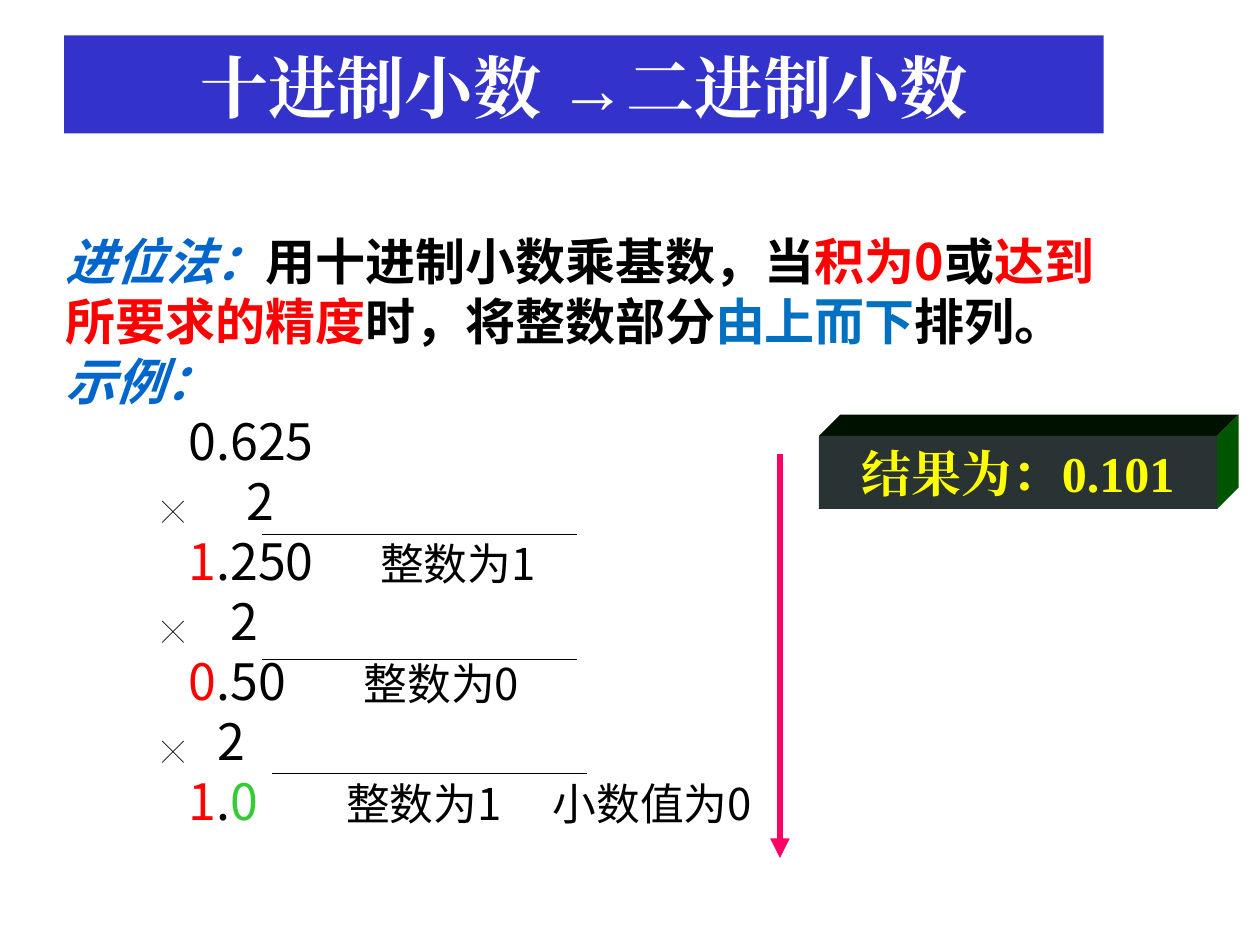
from lxml import etree
from pptx import Presentation
from pptx.dml.color import RGBColor
from pptx.enum.shapes import MSO_CONNECTOR as Conn, MSO_SHAPE as Shape
from pptx.enum.text import MSO_ANCHOR as Anchor, MSO_AUTO_SIZE as Fit, PP_ALIGN as Align
from pptx.oxml.ns import qn
from pptx.util import Inches, Pt

COLORS = {
    "black": "000000", "white": "FFFFFF", "red": "FF0000", "green": "33CC33",
    "label": "0066CC", "blue": "0070C0", "bar": "3333CC", "pink": "FF0066",
    "yellow": "FFFF00", "front": "2A3333", "top": "001100", "side": "005500",
}
SANS, SERIF = "Noto Sans CJK SC", "Times New Roman"
BIG, NOTE, SIGN = 28.6, 25, 12.5

INTRO = [
    [("进位法：", "label"), ("用十进制小数乘基数，当", "black"), ("积为0", "red"),
     ("或", "black"), ("达到", "red")],
    [("所要求的精度", "red"), ("时，将整数部分", "black"), ("由上而下", "blue"),
     ("排列。", "black")],
    [("示例：", "label")],
]
# Each step: left of the factor, left of the note, product runs, note
STEPS = [
    (1.44, 2.5, [("1", "red"), (".250", "black")], "整数为1"),
    (1.31, 2.37, [("0", "red"), (".50", "black")], "整数为0"),
    (1.21, 2.23, [("1", "red"), (".", "black"), ("0", "green")], "整数为1\t小数值为0"),
]
SIGN_LEFT, NUM_LEFT, END_LEFT = 0.77, 0.98, 3.87


def rgb(name):
    return RGBColor.from_string(COLORS[name])


def style(run, face, size, color, bold=False, italic=False):
    font = run.font
    font.name, font.size, font.bold, font.italic = face, Pt(size), bold, italic
    font.color.rgb = rgb(color)
    east = etree.Element(qn("a:ea"), typeface=face)
    run._r.rPr.find(qn("a:latin")).addnext(east)


def set_tabs(para, stops):
    tabs = etree.SubElement(para._p.get_or_add_pPr(), qn("a:tabLst"))
    for stop in stops:
        etree.SubElement(tabs, qn("a:tab"), pos=str(Inches(stop)), algn="l")


def add_run(para, text, size, color, **kind):
    run = para.add_run()
    run.text = text
    style(run, SANS, size, color, **kind)


def paint(shape, color):
    shape.shadow.inherit = False
    shape.fill.solid()
    shape.fill.fore_color.rgb = rgb(color)
    shape.line.fill.background()


def add_line(slide, x1, y1, x2, y2, color, width):
    ends = [Inches(n) for n in (x1, y1, x2, y2)]
    line = slide.shapes.add_connector(Conn.STRAIGHT, *ends)
    line.line.color.rgb = rgb(color)
    line.line.width = Pt(width)
    etree.SubElement(line._element.spPr, qn("a:effectLst"))
    return line


def add_title(slide, left, top, width, height):
    title = slide.shapes.title
    title.left, title.top = Inches(left), Inches(top)
    title.width, title.height = Inches(width), Inches(height)
    title.fill.solid()
    title.fill.fore_color.rgb = rgb("bar")
    frame = title.text_frame
    frame.text = "十进制小数 →二进制小数"
    frame.auto_size, frame.vertical_anchor = Fit.NONE, Anchor.BOTTOM
    para = frame.paragraphs[0]
    para.alignment = Align.CENTER
    style(para.runs[0], SERIF, 39, "white", bold=True)


def add_body(slide, left, top, width, height):
    """Place the rule and the worked example in one text box."""
    box = slide.shapes.add_textbox(Inches(left), Inches(top), Inches(width), Inches(height))
    frame = box.text_frame
    frame.word_wrap, frame.vertical_anchor = True, Anchor.MIDDLE
    count = len(INTRO) + 1 + 2 * len(STEPS)
    for _ in range(count - 1):
        frame.add_paragraph()
    for para in frame.paragraphs:
        para.line_spacing = Pt(34.3)
    paras = iter(frame.paragraphs)

    for parts in INTRO:
        para = next(paras)
        for text, color in parts:
            add_run(para, text, BIG, color, bold=True, italic=color == "label")

    para = next(paras)
    set_tabs(para, [NUM_LEFT])
    add_run(para, "\t0.625", BIG, "black")

    for two, note, product, words in STEPS:
        para = next(paras)
        set_tabs(para, [SIGN_LEFT, two])
        add_run(para, "\t╳", SIGN, "black")
        add_run(para, "\t2", BIG, "black")
        para = next(paras)
        set_tabs(para, [NUM_LEFT, note, END_LEFT])
        add_run(para, "\t", BIG, "black")
        for text, color in product:
            add_run(para, text, BIG, color)
        add_run(para, "\t" + words, NOTE, "black")


def add_rules(slide, width):
    for left, top in [(2.08, 4.24), (2.08, 5.23), (2.16, 6.14)]:
        add_line(slide, left, top, left + width, top, "black", 0.25)


def add_arrow(slide, x, top, bottom):
    line = add_line(slide, x, top, x, bottom, "pink", 3.75).line
    etree.SubElement(line._get_or_add_ln(), qn("a:tailEnd"), type="triangle")


def add_face(slide, points, color):
    spots = [(Inches(x), Inches(y)) for x, y in points]
    build = slide.shapes.build_freeform(*spots[0])
    build.add_line_segments(spots[1:])
    paint(build.convert_to_shape(), color)


def add_result(slide, left, top, width, height, depth=0.17):
    """Draw the result as a block with a top and a right face."""
    right, base = left + width, top + height
    back, far = top - depth, right + depth
    add_face(slide, [(left, top), (left + depth, back), (far, back), (right, top)], "top")
    add_face(slide, [(right, top), (far, back), (far, base - depth), (right, base)], "side")
    front = slide.shapes.add_shape(
        Shape.RECTANGLE, Inches(left), Inches(top), Inches(width), Inches(height))
    paint(front, "front")
    frame = front.text_frame
    frame.text = "结果为：0.101"
    frame.vertical_anchor = Anchor.MIDDLE
    para = frame.paragraphs[0]
    para.alignment = Align.CENTER
    style(para.runs[0], SERIF, BIG, "yellow", bold=True)


def main():
    deck = Presentation()
    deck.slide_width, deck.slide_height = Inches(10), Inches(7.5)
    slide = deck.slides.add_slide(deck.slide_layouts[5])
    add_title(slide, 0.51, 0.28, 8.25, 0.78)
    add_body(slide, 0.42, 1.75, 9.34, 4.92)
    add_rules(slide, 2.5)
    add_result(slide, 6.5, 3.46, 3.16, 0.58)
    add_arrow(slide, 6.19, 3.6, 6.81)
    deck.save("out.pptx")


if __name__ == "__main__":
    main()
